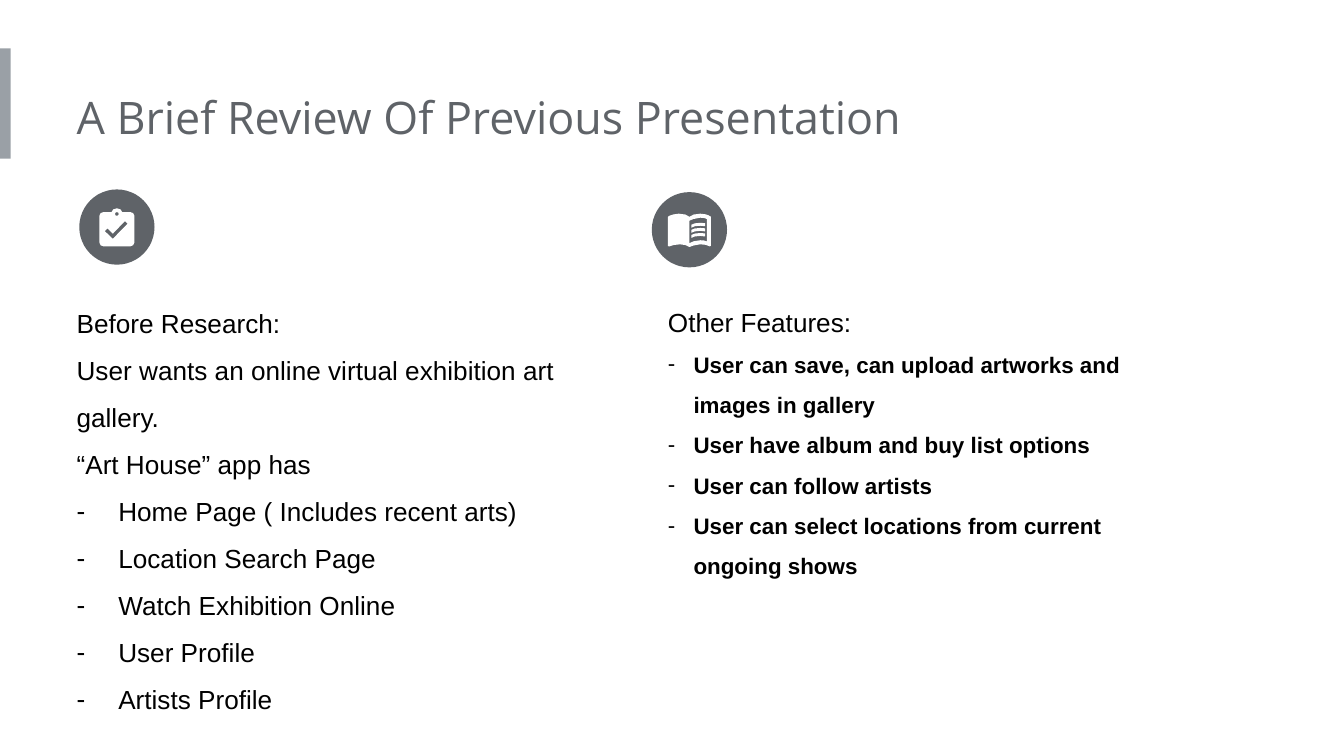
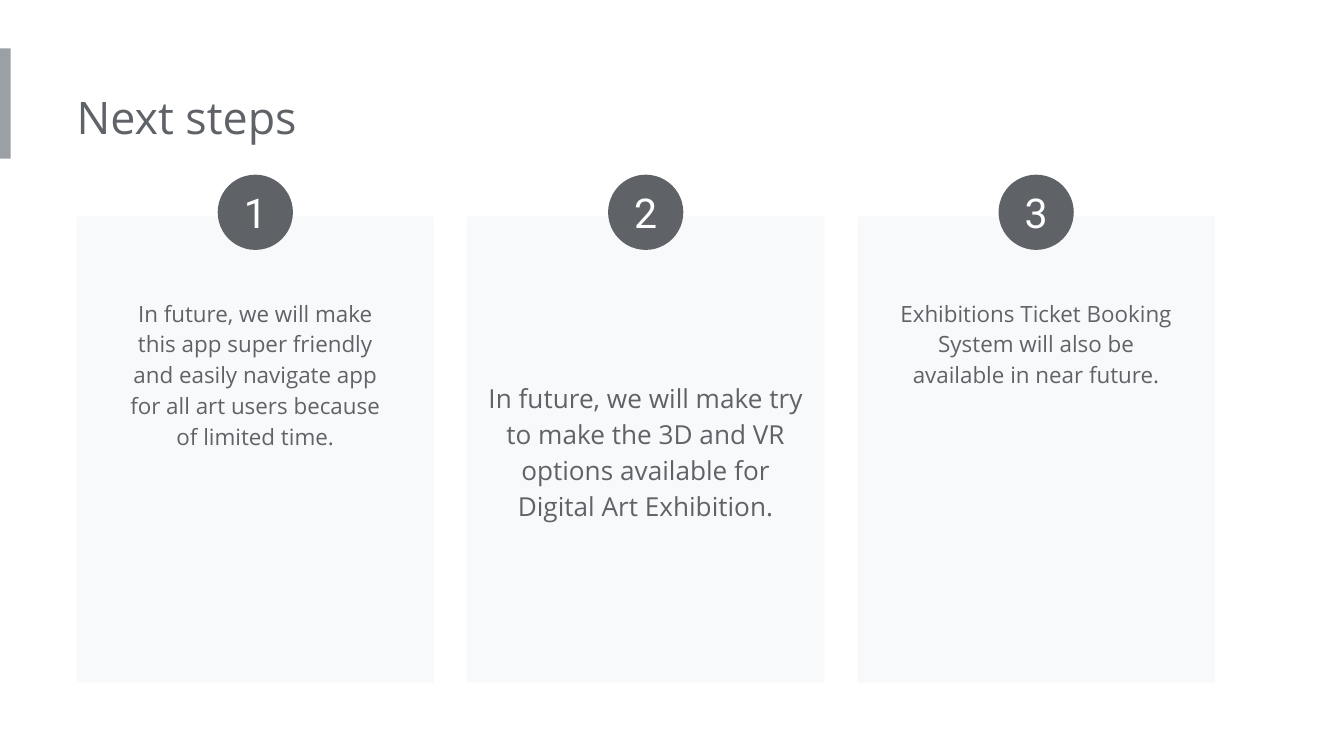
from lxml import etree
from pptx import Presentation, util as u
from pptx.dml.color import RGBColor
from pptx.enum import shapes, text
from pptx.oxml.ns import qn

BLACK = RGBColor(0x00, 0x00, 0x00)
WHITE = RGBColor(0xFF, 0xFF, 0xFF)
DARK_GRAY = RGBColor(0x5F, 0x63, 0x68)
BAND_GRAY = RGBColor(0x9A, 0xA0, 0xA6)
CARD_GRAY = RGBColor(0xF8, 0xF9, 0xFA)

MARGIN = 0.57
COLUMN_WIDTH = 3.77
CARD_WIDTH, CARD_HEIGHT, CARD_TOP = 2.66, 3.47, 1.61
CARDS_RIGHT = 9.04
CARD_GAP = (CARDS_RIGHT - MARGIN - 3 * CARD_WIDTH) / 2
CARD_INSET = 0.21
DISC = 0.56
LEFT, CENTER = text.PP_ALIGN.LEFT, text.PP_ALIGN.CENTER


def paint(shape, color):
    shape.shadow.inherit = False
    shape.fill.solid()
    shape.fill.fore_color.rgb = color
    shape.line.fill.background()


def write(shape, lines, size, color=DARK_GRAY, font="Open Sans", align=LEFT, spacing=1.0,
          bold=False, hanging=None, insets=(0, 0.1, 0.1, 0.1),
          anchor=text.MSO_ANCHOR.TOP, grow=True):
    """Append lines to a shape; hanging is the dash indent, 0 for no dash."""
    frame = shape.text_frame
    frame.word_wrap = True
    frame.vertical_anchor = anchor
    frame.auto_size = text.MSO_AUTO_SIZE.SHAPE_TO_FIT_TEXT if grow else text.MSO_AUTO_SIZE.NONE
    (frame.margin_left, frame.margin_top,
     frame.margin_right, frame.margin_bottom) = map(u.Inches, insets)
    for line in lines:
        paragraph = frame.add_paragraph() if frame.text else frame.paragraphs[0]
        paragraph.text = line
        paragraph.alignment = align
        paragraph.line_spacing = spacing
        paragraph.space_before = u.Pt(0)
        if hanging is not None:
            properties = paragraph._p.get_or_add_pPr()
            properties.set("marL", str(u.Inches(hanging)))
            properties.set("indent", str(-u.Inches(hanging)))
            if hanging:
                bullet_color = etree.SubElement(properties, qn("a:buClr"))
                etree.SubElement(bullet_color, qn("a:srgbClr"), val=str(color))
                etree.SubElement(properties, qn("a:buChar"), char="-")
            else:
                etree.SubElement(properties, qn("a:buNone"))
        paragraph.font.name = font
        paragraph.font.size = u.Pt(size)
        paragraph.font.bold = bold
        paragraph.font.color.rgb = color


presentation = Presentation()
presentation.slide_width = u.Inches(10)
presentation.slide_height = presentation.slide_width * 9 // 16
two_content, title_only = presentation.slide_layouts[3], presentation.slide_layouts[5]

review = presentation.slides.add_slide(two_content)
steps = presentation.slides.add_slide(title_only)

# The side band belongs to the master
band = review.shapes.add_shape(shapes.MSO_SHAPE.RECTANGLE, 0, u.Inches(0.36),
                               u.Inches(0.08), u.Inches(0.82))
paint(band, BAND_GRAY)
presentation.slide_master.shapes.element.append(band.element)

for slide, title, width in [(review, "A Brief Review Of Previous Presentation", 8.39),
                            (steps, "Next steps", 5.39)]:
    heading = slide.shapes.title
    heading.left, heading.top = u.Inches(MARGIN), u.Inches(MARGIN)
    heading.width, heading.height = u.Inches(width), u.Inches(0.61)
    write(heading, [title], 24)

# Review: two lists, each under an icon disc
review_lists = [
    (MARGIN, 2.07, 3.74,
     ["Before Research:", "User wants an online virtual exhibition art gallery.",
      "“Art House” app has"],
     ["Home Page ( Includes recent arts)", "Location Search Page", "Watch Exhibition Online",
      "User Profile", "Artists Profile"],
     {"size": 14, "hanging": 0.31}),
    (4.97, 2.06, 2.37,
     ["Other Features:"],
     ["User can save, can upload artworks and images in gallery",
      "User have album and buy list options", "User can follow artists",
      "User can select locations from current ongoing shows"],
     {"size": 12, "hanging": 0.19, "bold": True}),
]
list_style = {"color": BLACK, "font": "Arial", "spacing": 1.5}
for body, (left, top, height, intro, items, item_style) in zip(
        list(review.placeholders)[1:], review_lists):
    body.left, body.top = u.Inches(left), u.Inches(top)
    body.width, body.height = u.Inches(COLUMN_WIDTH), u.Inches(height)
    write(body, intro, 14, hanging=0, **list_style)
    write(body, items, **item_style, **list_style)

for left, top in [(0.59, 1.41), (4.85, 1.43)]:
    disc = review.shapes.add_shape(shapes.MSO_SHAPE.OVAL, u.Inches(left), u.Inches(top),
                                   u.Inches(DISC), u.Inches(DISC))
    paint(disc, DARK_GRAY)

# Icon outlines in thousandths of an inch
clipboard = [
    [(970, 1578), (910, 1578), (897, 1558), (870, 1550), (843, 1558), (830, 1578),
     (770, 1578), (749, 1586), (740, 1605), (740, 1805), (749, 1825), (770, 1833),
     (970, 1833), (991, 1825), (1000, 1805), (1000, 1605), (991, 1586)],
    [(870, 1578), (880, 1582), (884, 1592), (880, 1602), (870, 1606), (860, 1602),
     (856, 1592), (860, 1582)],
    [(840, 1777), (780, 1720), (800, 1700), (840, 1739), (930, 1645), (950, 1664)],
]
book = [
    [(5050, 1590), (5010, 1596), (4980, 1606), (4970, 1614), (4970, 1832), (4980, 1834),
     (5010, 1824), (5060, 1818), (5100, 1824), (5130, 1838), (5160, 1827), (5210, 1818),
     (5250, 1822), (5280, 1833), (5290, 1830), (5290, 1613), (5270, 1602), (5250, 1595),
     (5210, 1590), (5160, 1597), (5130, 1614), (5100, 1597)],
    [(5210, 1620), (5240, 1623), (5260, 1630), (5260, 1797), (5240, 1790), (5210, 1788),
     (5160, 1796), (5130, 1810), (5130, 1642), (5160, 1630)],
]
text_lines = [
    [[(x, y + 38 * row) for x, y in [(5210, 1658), (5170, 1662), (5145, 1672), (5145, 1694),
                                     (5170, 1684), (5210, 1680), (5246, 1684), (5246, 1661)]]]
    for row in range(3)
]
for icon in [clipboard, book, *text_lines]:
    builder = review.shapes.build_freeform(*icon[0][0], scale=u.Inches(1) / 1000)
    builder.add_line_segments(icon[0][1:], close=True)
    for cutout in icon[1:]:
        builder.move_to(*cutout[0])
        builder.add_line_segments(cutout[1:], close=True)
    paint(builder.convert_to_shape(), WHITE)

# Next steps: three numbered cards
step_texts = [
    "In future, we will make this app super friendly and easily navigate app for all art users "
    "because of limited time.",
    "In future, we will make try to make the 3D and VR options available for Digital Art "
    "Exhibition.",
    "Exhibitions Ticket Booking System will also be available in near future.",
]
text_heights = [1.36, None, 0.9]
card_style = {"align": CENTER, "spacing": 1.15, "insets": (0.1,) * 4}
for number, (step, height) in enumerate(zip(step_texts, text_heights), start=1):
    left = MARGIN + (number - 1) * (CARD_WIDTH + CARD_GAP)
    card = steps.shapes.add_shape(shapes.MSO_SHAPE.RECTANGLE, u.Inches(left),
                                  u.Inches(CARD_TOP), u.Inches(CARD_WIDTH),
                                  u.Inches(CARD_HEIGHT))
    paint(card, CARD_GRAY)
    if height is None:
        write(card, [step], 14, anchor=text.MSO_ANCHOR.MIDDLE, grow=False, **card_style)
    else:
        box = steps.shapes.add_textbox(u.Inches(left + CARD_INSET), u.Inches(2.1),
                                       u.Inches(CARD_WIDTH - 2 * CARD_INSET), u.Inches(height))
        write(box, [step], 12, **card_style)

    disc = steps.shapes.add_shape(shapes.MSO_SHAPE.OVAL,
                                  u.Inches(left + (CARD_WIDTH - DISC) / 2), u.Inches(1.3),
                                  u.Inches(DISC), u.Inches(DISC))
    paint(disc, DARK_GRAY)
    write(disc, [str(number)], 22, color=WHITE, font="Roboto", align=CENTER,
          insets=(0,) * 4, anchor=text.MSO_ANCHOR.MIDDLE, grow=False)

presentation.save("out.pptx")
